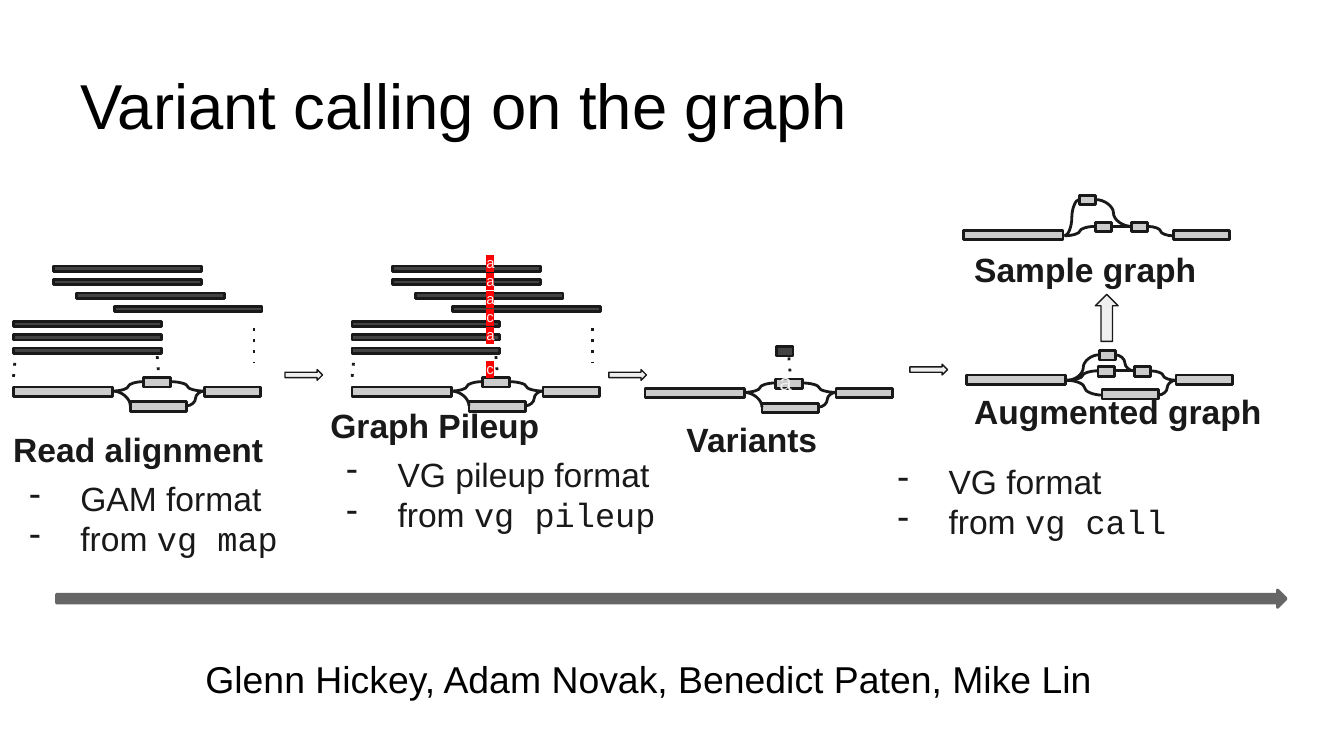
from lxml import etree
from pptx import Presentation
from pptx.dml.color import RGBColor
from pptx.enum.dml import MSO_LINE
from pptx.enum.shapes import MSO_CONNECTOR, MSO_SHAPE
from pptx.enum.text import MSO_ANCHOR
from pptx.oxml.ns import qn
from pptx.util import Inches, Pt

RECTANGLE, ARROW = MSO_SHAPE.RECTANGLE, MSO_SHAPE.RIGHT_ARROW
CURVE, STRAIGHT = MSO_CONNECTOR.CURVE, MSO_CONNECTOR.STRAIGHT
TOP, BOTTOM = MSO_ANCHOR.TOP, MSO_ANCHOR.BOTTOM
DOTTED = MSO_LINE.ROUND_DOT

BLACK = RGBColor(0x00, 0x00, 0x00)
INK = RGBColor(0x19, 0x19, 0x19)
READ_GRAY = RGBColor(0x43, 0x43, 0x43)
TIME_GRAY = RGBColor(0x66, 0x66, 0x66)
NODE_GRAY = RGBColor(0xCC, 0xCC, 0xCC)
PALE = RGBColor(0xEF, 0xEF, 0xEF)
RED = RGBColor(0xFF, 0x00, 0x00)

presentation = Presentation()
presentation.slide_width = Inches(10)
presentation.slide_height = presentation.slide_width * 9 // 16
slide = presentation.slides.add_slide(presentation.slide_layouts[6])
UNIT = presentation.slide_width / 100  # square grid, 100 columns across


def add_text(lines, box, size=18, color=INK, anchor=TOP, heading=False,
             bullets=False, space_before=(), highlight=None):
    """Add a text box; each line is a list of (text, font name) runs."""
    shape = slide.shapes.add_textbox(*(round(value * UNIT) for value in box))
    frame = shape.text_frame
    frame.word_wrap = True
    frame.vertical_anchor = anchor
    frame.margin_left = frame.margin_right = Inches(0.1)
    frame.margin_top = frame.margin_bottom = Inches(0.1)
    for index, line in enumerate(lines):
        paragraph = frame.paragraphs[0] if index == 0 else frame.add_paragraph()
        is_heading = heading and index == 0
        if bullets and not is_heading:
            properties = paragraph._p.get_or_add_pPr()
            properties.set("marL", str(Inches(0.5)))
            properties.set("indent", str(Inches(-0.38)))
            bullet_color = etree.SubElement(properties, qn("a:buClr"))
            etree.SubElement(bullet_color, qn("a:srgbClr")).set("val", str(color))
            etree.SubElement(properties, qn("a:buChar")).set("char", "-")
        if index < len(space_before):
            paragraph.space_before = Pt(space_before[index])
        for text, font_name in line:
            run = paragraph.add_run()
            run.text = text
            run.font.size = Pt(size)
            run.font.bold = is_heading
            run.font.color.rgb = color
            if highlight is not None:
                mark = etree.Element(qn("a:highlight"))
                etree.SubElement(mark, qn("a:srgbClr")).set("val", str(highlight))
                run._r.get_or_add_rPr().find(qn("a:solidFill")).addnext(mark)
            run.font.name = font_name


# Title, stage labels and credits
add_text([[("Variant calling on the graph", "Arial")]], (5, 2.3, 90, 9.3),
         size=34, color=BLACK, anchor=BOTTOM)
stages = [
    ("Read alignment", "GAM format", "vg map", (0, 30.9, 23.4, 11)),
    ("Graph Pileup", "VG pileup format", "vg pileup", (23.6, 29.1, 26.7, 11)),
    (None, "VG format", "vg call", (64.6, 33.3, 23.4, 8)),
    ("Augmented graph", None, None, (71.5, 28.1, 28.2, 5)),
    ("Sample graph", None, None, (71.5, 17.5, 28.2, 5)),
    ("Variants", None, None, (50.1, 30.2, 15.7, 5)),
]
for name, file_format, command, box in stages:
    lines = [[(name, "Arial")]] if name else []
    if file_format:
        lines += [[(file_format, "Arial")],
                  [("from ", "Arial"), (command, "Courier New")]]
    add_text(lines, box, heading=bool(name), bullets=bool(file_format),
             space_before=(0, 4.8) if name else ())
add_text([[("Glenn Hickey, Adam Novak, Benedict Paten, Mike Lin", "Arial")]],
         (14.3, 47.8, 81, 5.4), size=20, color=BLACK)

# Every graph is laid out from its own origin: (left, top, width) of nodes,
# then (from x, from y, to x, to y) of edges
NODE_HEIGHT, READ_HEIGHT, READ_WIDTH = 0.7, 0.4, 11
BUBBLE_NODES = [(0, 0.7, 7.4), (8.7, 1.8, 4.2), (9.7, 0, 2), (14.2, 0.7, 4.2)]
BUBBLE_EDGES = [(7.4, 1, 9.7, 0.3), (11.7, 0.3, 14.2, 1), (12.9, 2.1, 14.2, 1)]
BUBBLE_ARC = (7.4, 1, 8.7, 2.1)
READS = [(0, -2.2), (0, -3.2), (0, -4.2), (7.5, -5.3), (4.7, -6.3),
         (3, -7.3), (3, -8.3)]
SNP_DOTS = (10.7, -1.6, 10.8, -0.3)
READ_DOTS = [(17.9, -3.7, 17.9, -1.1), (0.1, -1.1, 0, 0), SNP_DOTS]
CALL_NODES = [(0, 0.6, 7.4), (15.6, 0.6, 4.2), (9.8, 0, 1.2), (12.5, 0, 1.2)]
CALL_EDGES = [(7.5, 1, 9.8, 0.3), (13.7, 0.3, 15.6, 1), (11, 0.3, 12.5, 0.3)]
AUGMENTED_NODES = [(9.9, -1.2, 1.2), (10.1, 1.7, 4.2)]
AUGMENTED_EDGES = [(7.5, 1, 9.9, -0.9), (11.1, -0.9, 12.5, 0.3),
                   (7.5, 1, 10.1, 2.1), (14.3, 2.1, 15.6, 1)]
SAMPLE_NODES = [(8.6, -2, 1.2)]
SAMPLE_EDGES = [(7.5, 1, 8.6, -1.7), (9.8, -1.7, 12.5, 0.3)]

# (origin, nodes, curved edges, quarter arcs, reads, dotted lines)
graphs = [
    ((1, 28.1), BUBBLE_NODES, BUBBLE_EDGES, [BUBBLE_ARC], READS, READ_DOTS),
    ((26.2, 28.1), BUBBLE_NODES, BUBBLE_EDGES, [BUBBLE_ARC], READS, READ_DOTS),
    ((48, 28.2), BUBBLE_NODES, BUBBLE_EDGES, [BUBBLE_ARC], [], [SNP_DOTS]),
    ((71.9, 27.3), CALL_NODES + AUGMENTED_NODES, CALL_EDGES + AUGMENTED_EDGES,
     [], [], []),
    ((71.7, 16.55), CALL_NODES + SAMPLE_NODES, CALL_EDGES + SAMPLE_EDGES,
     [], [], []),
]

# (preset, box, fill, line colour, line width, rotation)
blocks = [(RECTANGLE, (57.8, 25.8, 1.2, NODE_HEIGHT), READ_GRAY, INK, 1.5, 0),
          (ARROW, (4.2, 43.9, 91.5, 1.3), TIME_GRAY, TIME_GRAY, 1.5, 0),
          (ARROW, (80.6, 22.8, 3.5, 1.7), PALE, INK, 0.75, 270)]
for left, top in [(21.2, 27.5), (45.3, 27.5), (67.7, 27.1)]:
    blocks.append((ARROW, (left, top, 2.8, 0.8), PALE, INK, 0.75, 0))
links = []
for (x, y), nodes, edges, arcs, reads, dots in graphs:
    blocks += [(RECTANGLE, (x + left, y + top, width, NODE_HEIGHT),
                NODE_GRAY, INK, 1.5, 0) for left, top, width in nodes]
    blocks += [(RECTANGLE, (x + left, y + top, READ_WIDTH, READ_HEIGHT),
                READ_GRAY, INK, 1.5, 0) for left, top in reads]
    for kind, preset, group in [(CURVE, "curvedConnector3", edges),
                                (CURVE, "curvedConnector2", arcs),
                                (STRAIGHT, "line", dots)]:
        links += [(kind, preset, (x + x1, y + y1, x + x2, y + y2))
                  for x1, y1, x2, y2 in group]

for preset, box, fill, line_color, line_width, rotation in blocks:
    shape = slide.shapes.add_shape(preset, *(round(value * UNIT) for value in box))
    shape.shadow.inherit = False
    shape.fill.solid()
    shape.fill.fore_color.rgb = fill
    shape.line.color.rgb = line_color
    shape.line.width = Pt(line_width)
    shape.rotation = rotation

for kind, preset, ends in links:
    connector = slide.shapes.add_connector(
        kind, *(round(value * UNIT) for value in ends))
    connector.line.color.rgb = INK
    connector.line.width = Pt(1.5)
    properties = connector._element.spPr
    if kind == STRAIGHT:
        connector.line.dash_style = DOTTED
        properties.find(".//" + qn("a:prstDash")).set("val", "dot")
    properties.find(qn("a:prstGeom")).set("prst", preset)
    etree.SubElement(properties, qn("a:effectLst"))

# Bases read at the variant site; the last one belongs to the reference node
add_text([[(base, "Arial")] for base in "aaacac"], (35.2, 17.9, 3.3, 8.3),
         size=8, color=PALE, space_before=(0, 0, 0, 0, 0, 8.6), highlight=RED)
add_text([[("a", "Arial")]], (57, 26.4, 3.3, 4), size=12, color=PALE)

presentation.save("out.pptx")
